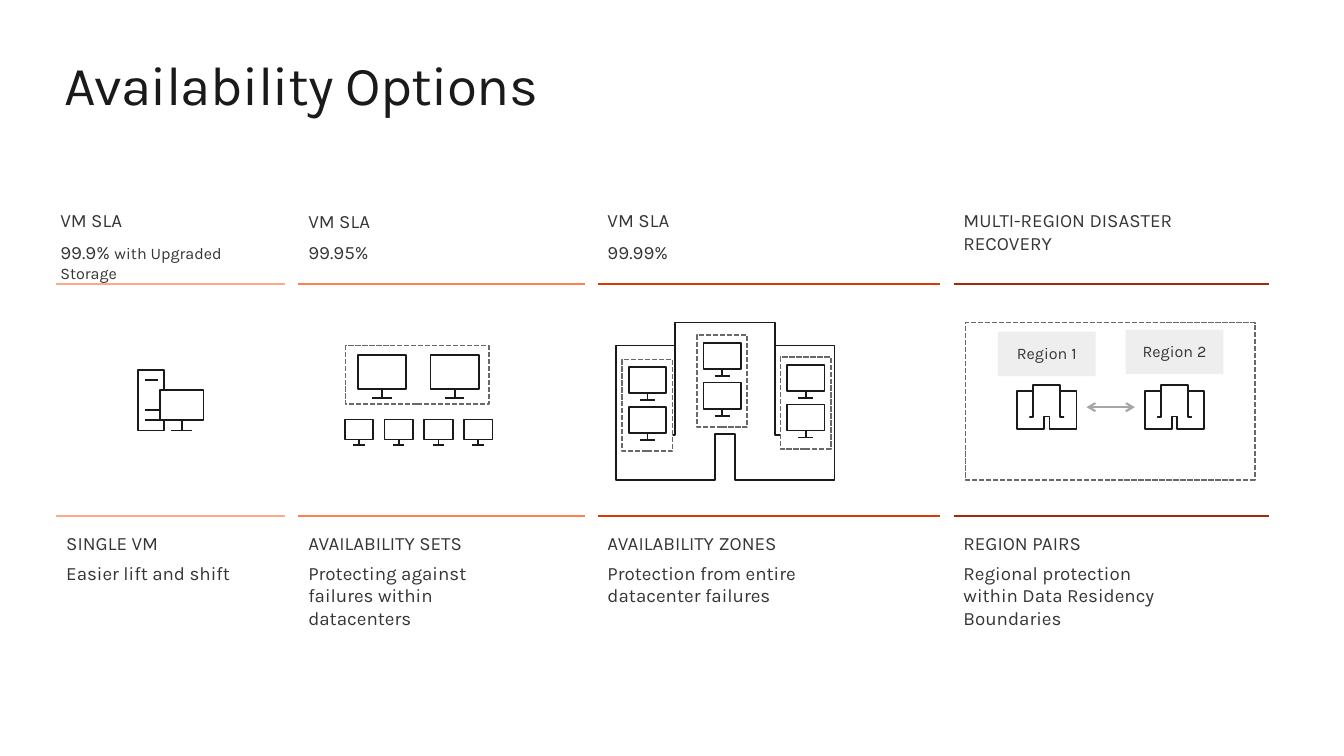
import pptx
import pptx.util
import pptx.dml.color
import pptx.enum.dml
import pptx.enum.shapes
import pptx.enum.text
import pptx.oxml.ns
from lxml import etree

Cm = pptx.util.Cm
Pt = pptx.util.Pt
RGB = pptx.dml.color.RGBColor
ALIGN = pptx.enum.text.PP_ALIGN
ANCHOR = pptx.enum.text.MSO_ANCHOR
qn = pptx.oxml.ns.qn

INK = RGB(0x1A, 0x1A, 0x1A)
TEXT = RGB(0x35, 0x35, 0x35)
DASH = RGB(0x69, 0x69, 0x69)
ARROW = RGB(0xA6, 0xA6, 0xA6)
LABEL = RGB(0xEE, 0xEE, 0xEE)
WHITE = RGB(0xFF, 0xFF, 0xFF)
PEACH = RGB(0xFE, 0xAA, 0x8A)
ORANGE = RGB(0xFE, 0x7F, 0x4F)
RED = RGB(0xD7, 0x3B, 0x01)
BROWN = RGB(0xA1, 0x2C, 0x01)


class Canvas:
    font = "Karla"
    body, small, heading = 13.4, 11.5, 39.2
    weight = 1.25

    def __init__(self, slide):
        self.s = slide

    def run(self, p, text, size, color=TEXT):
        r = p.add_run()
        r.text = text
        r.font.name = self.font
        r.font.size = Pt(size)
        r.font.color.rgb = color
        return r

    def text(self, x, y, w, h, *runs, inset=(0.25, 0.13), color=TEXT):
        """Each run is a (text, size) pair."""
        sp = self.s.shapes.add_textbox(Cm(x), Cm(y), Cm(w), Cm(h))
        tf = sp.text_frame
        tf.word_wrap = True
        tf.margin_left = tf.margin_right = Cm(inset[0])
        tf.margin_top = tf.margin_bottom = Cm(inset[1])
        return [self.run(tf.paragraphs[0], t, size, color) for t, size in runs]

    def line(self, x1, x2, y, color, weight=weight, arrows=False):
        cn = self.s.shapes.add_connector(
            pptx.enum.shapes.MSO_CONNECTOR.STRAIGHT, Cm(x1), Cm(y), Cm(x2), Cm(y))
        cn.line.color.rgb = color
        cn.line.width = Pt(weight)
        if arrows:
            ln = cn.line._get_or_add_ln()
            for end in ("a:headEnd", "a:tailEnd"):
                etree.SubElement(ln, qn(end), type="arrow")
        etree.SubElement(cn._element.spPr, qn("a:effectLst"))

    def rect(self, x, y, w, h, fill=None, dashed=False):
        sp = self.s.shapes.add_shape(
            pptx.enum.shapes.MSO_SHAPE.RECTANGLE, Cm(x), Cm(y), Cm(w), Cm(h))
        sp.shadow.inherit = False
        if fill is None:
            sp.fill.background()
        else:
            sp.fill.solid()
            sp.fill.fore_color.rgb = fill
        if dashed:
            sp.line.color.rgb = DASH
            sp.line.width = Pt(self.weight)
            sp.line.dash_style = pptx.enum.dml.MSO_LINE.SQUARE_DOT
        else:
            sp.line.fill.background()
        return sp

    def region(self, x, y, name):
        tf = self.rect(x, y, 2.46, 1.12, LABEL).text_frame
        tf.margin_left = tf.margin_right = tf.margin_top = tf.margin_bottom = 0
        tf.vertical_anchor = ANCHOR.MIDDLE
        p = tf.paragraphs[0]
        p.alignment = ALIGN.CENTER
        p.line_spacing = 0.9
        self.run(p, name, self.small)

    def outline(self, *strokes, close=False):
        """One unfilled freeform; each stroke is a list of points."""
        strokes = [[(Cm(x), Cm(y)) for x, y in stroke] for stroke in strokes]
        pen = self.s.shapes.build_freeform(*strokes[0][0])
        for i, stroke in enumerate(strokes):
            if i:
                pen.move_to(*stroke[0])
            pen.add_line_segments(stroke[1:], close=close)
        sp = pen.convert_to_shape()
        sp.shadow.inherit = False
        sp.fill.background()
        sp.line.color.rgb = INK
        sp.line.width = Pt(self.weight)

    def monitor(self, x, y, w):
        mid, low, foot = x + w / 2, y + 0.7 * w, y + 0.89 * w
        self.outline([(x, y), (x + w, y), (x + w, low), (x, low), (x, y)],
                     [(mid, low), (mid, foot)],
                     [(mid - 0.2 * w, foot), (mid + 0.2 * w, foot)])

    def building(self, x, y, w, h):
        left = [(0.455, 1), (0, 1), (0, 0.145), (0.272, 0.145), (0.272, 0.715),
                (0.217, 0.715), (0.272, 0.715), (0.272, 0)]
        right = [(1 - u, v) for u, v in reversed(left)]
        door = [(0.545, 0.71), (0.455, 0.71)]
        self.outline([(x + u * w, y + v * h) for u, v in left + right + door], close=True)


prs = pptx.Presentation()
prs.slide_width, prs.slide_height = Cm(33.87), Cm(19.05)
c = Canvas(prs.slides.add_slide(prs.slide_layouts[6]))

# Title
title, = c.text(1.63, 1.27, 30.6, 1.55, ("Availability Options", c.heading),
                inset=(0, 0), color=INK)
title._r.get_or_add_rPr().set("spc", "-50")

# Columns: left, width, color, top text left and y, SLA, value runs, name, description
columns = [
    (1.42, 5.77, PEACH, 1.27, 5.13, "VM SLA",
     [("99.9% ", c.body), ("with Upgraded Storage", c.small)],
     "SINGLE VM", "Easier lift and shift"),
    (7.52, 7.21, ORANGE, 7.52, 5.16, "VM SLA", [("99.95%", c.body)],
     "AVAILABILITY SETS", "Protecting against failures within datacenters"),
    (15.06, 8.64, RED, 15.06, 5.13, "VM SLA", [("99.99%", c.body)],
     "AVAILABILITY ZONES", "Protection from entire datacenter failures"),
    (24.03, 7.95, BROWN, 24.03, 5.13, "MULTI-REGION DISASTER RECOVERY", [],
     "REGION PAIRS", "Regional protection within Data Residency Boundaries"),
]
for x, w, color, top_x, top_y, sla, value, name, description in columns:
    for y in (7.16, 13):
        c.line(x, x + w, y, color)
    c.text(top_x, top_y, min(w, 7.62), 0.94, (sla, c.body))
    if value:
        c.text(top_x, 5.93, w, 0.94, *value)
    c.text(x, 13.28, w, 0.97, (name, c.body))
    c.text(x, 14.02, 6.1, 1.63, (description, c.body))

# Single VM: monitor in front of a tower
c.outline([(4.04, 9.83), (5.13, 9.83), (5.13, 10.59), (4.04, 10.59), (4.04, 9.83)],
          [(4.58, 10.59), (4.58, 10.85)], [(4.32, 10.85), (4.85, 10.85)],
          [(3.66, 9.58), (3.99, 9.58)], [(3.66, 10.34), (4.04, 10.34)],
          [(3.66, 10.59), (4.04, 10.59)],
          [(4.14, 9.83), (4.14, 9.32), (3.48, 9.32), (3.48, 10.85),
           (4.14, 10.85), (4.14, 10.59)])

# Availability sets
for x in (9.02, 10.85):
    c.monitor(x, 8.94, 1.22)
c.rect(8.71, 8.71, 3.61, 1.47, dashed=True)
for i in range(4):
    c.monitor(8.69 + i, 10.57, 0.72)

# Region pairs
for x in (25.63, 28.85):
    c.building(x, 9.7, 1.5, 1.12)
c.line(27.38, 28.6, 10.26, ARROW, 1.5, arrows=True)
c.rect(24.33, 8.13, 7.29, 3.96, dashed=True)
c.region(25.15, 8.36, "Region 1")
c.region(28.37, 8.31, "Region 2")

# Availability zones: two monitors in each rack
c.building(15.52, 8.13, 5.51, 3.96)
for x, y in ((15.68, 9.06), (17.56, 8.45), (19.67, 9)):
    c.rect(x, y, 1.27, 2.31, WHITE, dashed=True)
    for i in range(2):
        c.monitor(x + 0.17, y + 0.19 + i, 0.94)

prs.save("out.pptx")
